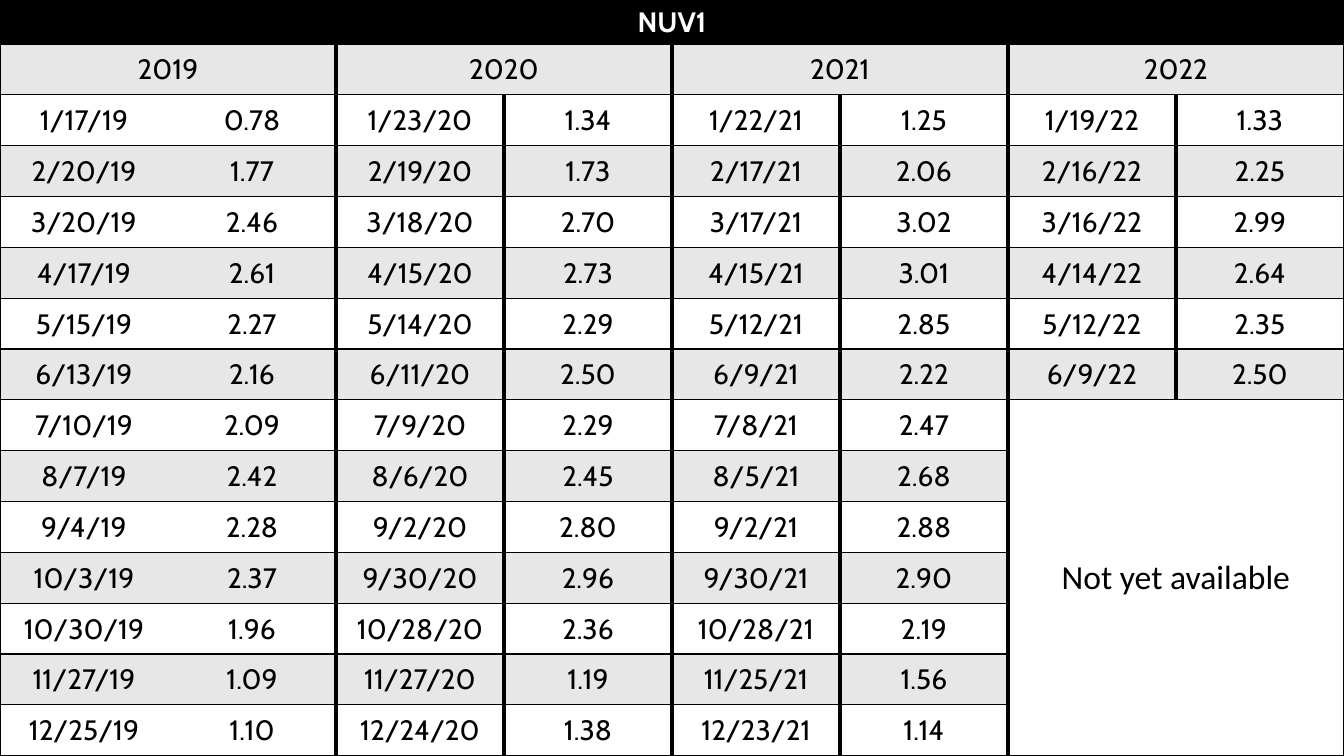
import pptx
import pptx.dml.color
import pptx.enum.text
import pptx.oxml
import pptx.oxml.ns
import pptx.util

Pt = pptx.util.Pt
RGBColor = pptx.dml.color.RGBColor

BLACK = RGBColor(0x00, 0x00, 0x00)
WHITE = RGBColor(0xFF, 0xFF, 0xFF)
BAND_GRAY = RGBColor(0xE7, 0xE7, 0xE7)

SLIDE_WIDTH, SLIDE_HEIGHT = 960, 540
TITLE_HEIGHT = 31.4
THIN, THICK = 1, 3
PLAIN_TABLE_STYLE = "{2D5ABB26-0587-4C30-8999-92F81FD0307C}"

READINGS = {
    "2019": [
        ("1/17/19", "0.78"), ("2/20/19", "1.77"), ("3/20/19", "2.46"),
        ("4/17/19", "2.61"), ("5/15/19", "2.27"), ("6/13/19", "2.16"),
        ("7/10/19", "2.09"), ("8/7/19", "2.42"), ("9/4/19", "2.28"),
        ("10/3/19", "2.37"), ("10/30/19", "1.96"), ("11/27/19", "1.09"),
        ("12/25/19", "1.10"),
    ],
    "2020": [
        ("1/23/20", "1.34"), ("2/19/20", "1.73"), ("3/18/20", "2.70"),
        ("4/15/20", "2.73"), ("5/14/20", "2.29"), ("6/11/20", "2.50"),
        ("7/9/20", "2.29"), ("8/6/20", "2.45"), ("9/2/20", "2.80"),
        ("9/30/20", "2.96"), ("10/28/20", "2.36"), ("11/27/20", "1.19"),
        ("12/24/20", "1.38"),
    ],
    "2021": [
        ("1/22/21", "1.25"), ("2/17/21", "2.06"), ("3/17/21", "3.02"),
        ("4/15/21", "3.01"), ("5/12/21", "2.85"), ("6/9/21", "2.22"),
        ("7/8/21", "2.47"), ("8/5/21", "2.68"), ("9/2/21", "2.88"),
        ("9/30/21", "2.90"), ("10/28/21", "2.19"), ("11/25/21", "1.56"),
        ("12/23/21", "1.14"),
    ],
    "2022": [
        ("1/19/22", "1.33"), ("2/16/22", "2.25"), ("3/16/22", "2.99"),
        ("4/14/22", "2.64"), ("5/12/22", "2.35"), ("6/9/22", "2.50"),
    ],
}
READING_ROWS = max(len(readings) for readings in READINGS.values())
ROW_COUNT = READING_ROWS + 2
COLUMN_COUNT = 2 * len(READINGS)


def write_text(cell, text, font="Cabin", size=20, color=BLACK, bold=False):
    cell.vertical_anchor = pptx.enum.text.MSO_ANCHOR.MIDDLE
    cell.margin_left = cell.margin_right = cell.margin_top = Pt(0.7)
    cell.margin_bottom = 0
    paragraph = cell.text_frame.paragraphs[0]
    paragraph.alignment = pptx.enum.text.PP_ALIGN.CENTER
    run = paragraph.add_run()
    run.text = text
    run.font.name = font
    run.font.size = Pt(size)
    run.font.bold = bold
    run.font.color.rgb = color


def set_borders(cell, left, right):
    """Draw thin rules above and below; a side width of 0 means no line."""
    properties = cell._tc.get_or_add_tcPr()
    widths = {"lnL": left, "lnR": right, "lnT": THIN, "lnB": THIN}
    for index, (tag, width) in enumerate(widths.items()):
        paint = f'<a:solidFill><a:srgbClr val="{BLACK}"/></a:solidFill>' if width else "<a:noFill/>"
        border = pptx.oxml.parse_xml(
            f'<a:{tag} {pptx.oxml.ns.nsdecls("a")} w="{Pt(width)}">{paint}</a:{tag}>'
        )
        properties.insert(index, border)


def rule_width(edge):
    """Width of the vertical rule at a column edge, counted from the left."""
    if edge in (0, COLUMN_COUNT):
        return THIN
    return 0 if edge == 1 else THICK


def fill_cell(table, row, column, text, fill, row_span=1, column_span=1, **text_format):
    cell = table.cell(row, column)
    if row_span > 1 or column_span > 1:
        cell.merge(table.cell(row + row_span - 1, column + column_span - 1))
    cell.fill.solid()
    cell.fill.fore_color.rgb = fill
    set_borders(cell, rule_width(column), rule_width(column + column_span))
    write_text(cell, text, **text_format)


def add_plain_table(slide):
    frame = slide.shapes.add_table(
        ROW_COUNT, COLUMN_COUNT, 0, 0, Pt(SLIDE_WIDTH), Pt(SLIDE_HEIGHT)
    )
    table = frame.table
    table.first_row = table.horz_banding = False
    table._tbl.tblPr.find(pptx.oxml.ns.qn("a:tableStyleId")).text = PLAIN_TABLE_STYLE
    for column in table.columns:
        column.width = Pt(SLIDE_WIDTH / COLUMN_COUNT)
    for row in table.rows:
        row.height = Pt((SLIDE_HEIGHT - TITLE_HEIGHT) / (ROW_COUNT - 1))
    table.rows[0].height = Pt(TITLE_HEIGHT)
    return table


def fill_year(table, column, year, readings):
    fill_cell(table, 1, column, year, BAND_GRAY, column_span=2)
    for row, reading in enumerate(readings, start=2):
        fill = BAND_GRAY if row % 2 else WHITE
        for offset, text in enumerate(reading):
            fill_cell(table, row, column + offset, text, fill)
    missing = READING_ROWS - len(readings)
    if missing:
        fill_cell(table, ROW_COUNT - missing, column, "Not yet available", WHITE,
                  row_span=missing, column_span=2, font="Calibri", size=24)


def main():
    presentation = pptx.Presentation()
    presentation.slide_width = Pt(SLIDE_WIDTH)
    presentation.slide_height = Pt(SLIDE_HEIGHT)
    slide = presentation.slides.add_slide(presentation.slide_layouts[6])
    table = add_plain_table(slide)
    fill_cell(table, 0, 0, "NUV1", BLACK, column_span=COLUMN_COUNT, color=WHITE, bold=True)
    for index, (year, readings) in enumerate(READINGS.items()):
        fill_year(table, 2 * index, year, readings)
    presentation.save("out.pptx")


if __name__ == "__main__":
    main()
